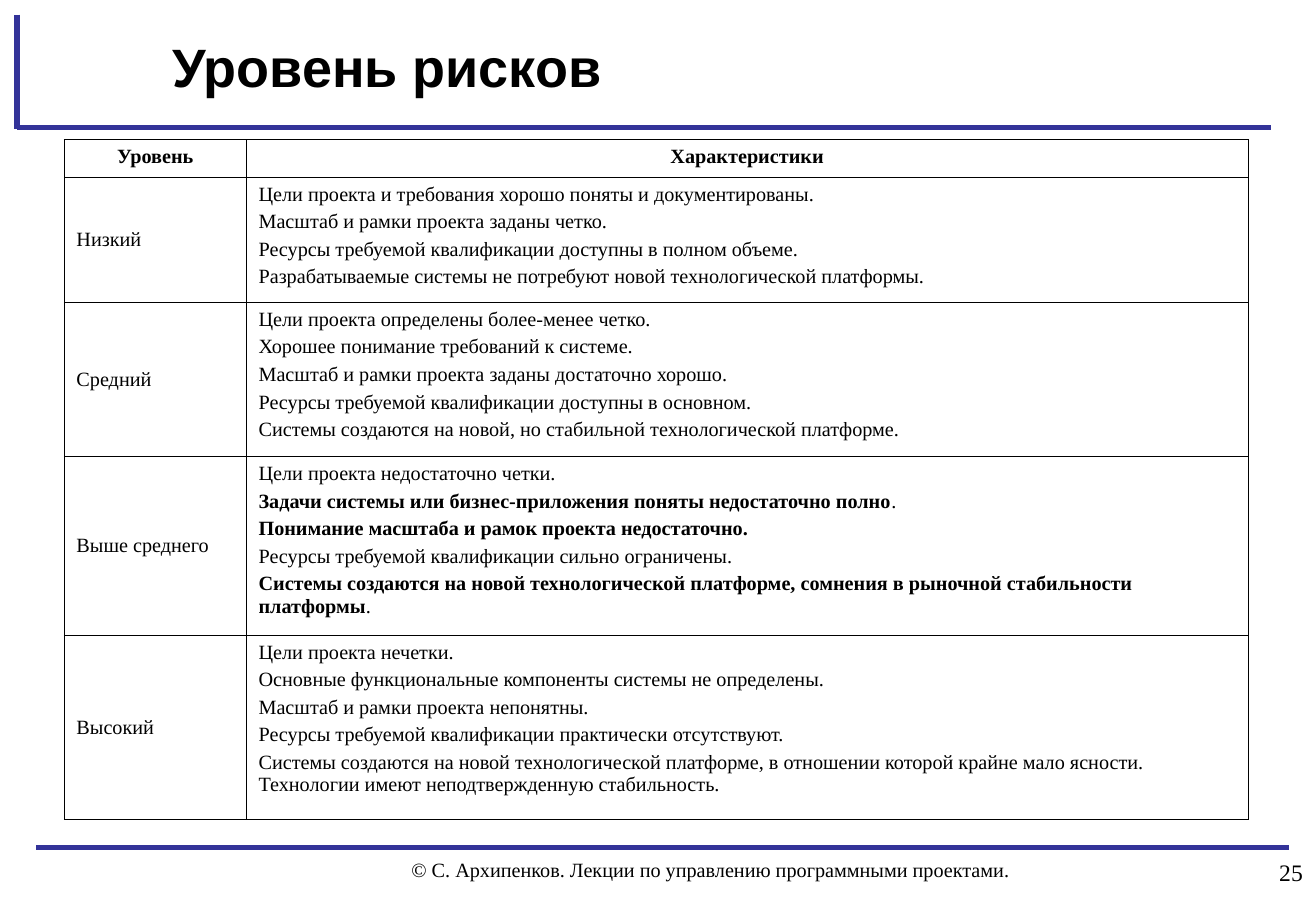
import pptx
import pptx.util
import pptx.dml.color
import pptx.enum.text
import pptx.oxml

Pt = pptx.util.Pt
ALIGN = pptx.enum.text.PP_ALIGN
ANCHOR = pptx.enum.text.MSO_ANCHOR
NAVY = pptx.dml.color.RGBColor(0x33, 0x33, 0x99)
BLACK = pptx.dml.color.RGBColor(0, 0, 0)
WHITE = pptx.dml.color.RGBColor(0xFF, 0xFF, 0xFF)
SERIF, SANS = "Times New Roman", "Arial"
WIDE, HIGH = pptx.util.Inches(10.84), pptx.util.Inches(7.5)
NS = 'xmlns:a="http://schemas.openxmlformats.org/drawingml/2006/main"'

# Table shares in percent of the slide
COLS = (13.84, 76.11)
ROWS = (4.13, 13.73, 16.93, 19.6, 20.27)

# Asterisks enclose bold text
HEAD = ("*Уровень*", "*Характеристики*")
LEVELS = (
    ("Низкий",
     "Цели проекта и требования хорошо поняты и документированы.\n"
     "Масштаб и рамки проекта заданы четко.\n"
     "Ресурсы требуемой квалификации доступны в полном объеме.\n"
     "Разрабатываемые системы не потребуют новой технологической платформы."),
    ("Средний",
     "Цели проекта определены более-менее четко.\n"
     "Хорошее понимание требований к системе.\n"
     "Масштаб и рамки проекта заданы достаточно хорошо.\n"
     "Ресурсы требуемой квалификации доступны в основном.\n"
     "Системы создаются на новой, но стабильной технологической платформе."),
    ("Выше среднего",
     "Цели проекта недостаточно четки.\n"
     "*Задачи системы или бизнес-приложения поняты недостаточно полно*.\n"
     "*Понимание масштаба и рамок проекта недостаточно.*\n"
     "Ресурсы требуемой квалификации сильно ограничены.\n"
     "*Системы создаются на новой технологической платформе, "
     "сомнения в рыночной стабильности платформы*."),
    ("Высокий",
     "Цели проекта нечетки.\n"
     "Основные функциональные компоненты системы не определены.\n"
     "Масштаб и рамки проекта непонятны.\n"
     "Ресурсы требуемой квалификации практически отсутствуют.\n"
     "Системы создаются на новой технологической платформе, "
     "в отношении которой крайне мало ясности. "
     "Технологии имеют неподтвержденную стабильность."),
)


def across(share):
    return round(WIDE * share / 100)


def down(share):
    return round(HIGH * share / 100)


def style(run, size, face, bold=False):
    font = run.font
    font.size, font.name, font.bold = Pt(size), face, bold
    font.color.rgb = BLACK


def add_rule(slide, x1, y1, x2, y2):
    rule = slide.shapes.add_connector(
        pptx.enum.shapes.MSO_CONNECTOR.STRAIGHT,
        across(x1), down(y1), across(x2), down(y2))
    rule.line.color.rgb = NAVY
    rule.line.width = Pt(3)
    rule._element.spPr.append(pptx.oxml.parse_xml(f"<a:effectLst {NS}/>"))


def add_label(slide, text, x, y, w, h, size, face=SERIF, bold=False,
              align=ALIGN.LEFT, anchor=ANCHOR.TOP):
    box = slide.shapes.add_textbox(across(x), down(y), across(w), down(h))
    frame = box.text_frame
    frame.word_wrap = True
    frame.vertical_anchor = anchor
    frame.text = text
    para = frame.paragraphs[0]
    para.alignment = align
    style(para.runs[0], size, face, bold)


def add_edges(cell):
    props = cell._tc.get_or_add_tcPr()
    for spot, side in enumerate("LRTB"):
        props.insert(spot, pptx.oxml.parse_xml(
            f'<a:ln{side} {NS} w="{Pt(0.45)}"><a:solidFill>'
            f'<a:srgbClr val="{BLACK}"/></a:solidFill></a:ln{side}>'))


def fill_cell(cell, text, align, anchor, gap):
    cell.fill.solid()
    cell.fill.fore_color.rgb = WHITE
    cell.vertical_anchor = anchor
    add_edges(cell)
    frame = cell.text_frame
    frame.text = text.replace("*", "")
    for para, line in zip(frame.paragraphs, text.split("\n")):
        para.alignment = align
        para.space_after = Pt(gap)
        para.text = ""
        for turn, part in enumerate(line.split("*")):
            if part:
                run = para.add_run()
                run.text = part
                style(run, 12, SERIF, turn % 2 == 1)


def add_levels(slide):
    table = slide.shapes.add_table(
        len(ROWS), len(COLS), across(4.89), down(15.33),
        across(sum(COLS)), down(sum(ROWS))).table
    table.first_row = table.horz_banding = False
    for col, share in zip(table.columns, COLS):
        col.width = across(share)
    for row, share in zip(table.rows, ROWS):
        row.height = down(share)
    for r, texts in enumerate((HEAD, *LEVELS)):
        for c, text in enumerate(texts):
            align = ALIGN.LEFT if r else ALIGN.CENTER
            anchor = ANCHOR.MIDDLE if r and c == 0 else ANCHOR.TOP
            fill_cell(table.cell(r, c), text, align, anchor,
                      3 if r and c else 0)


def main():
    deck = pptx.Presentation()
    deck.slide_width, deck.slide_height = WIDE, HIGH
    slide = deck.slides.add_slide(deck.slide_layouts[6])

    # Frame rules
    add_rule(slide, 2.77, 93.07, 97.97, 93.07)
    add_rule(slide, 1.29, 14, 96.59, 14)
    add_rule(slide, 1.29, 1.6, 1.29, 14.13)

    # Footer and page number
    add_label(slide, "© С. Архипенков. Лекции по управлению "
              "программными проектами.", 30.35, 93.47, 52.77, 6.53, 12)
    add_label(slide, "25", 87.73, 93.47, 12.18, 6.53, 14, align=ALIGN.RIGHT)

    # Title and table of risk levels
    add_label(slide, "Уровень рисков", 12.18, 1.6, 82.93, 11.2, 32,
              SANS, True, anchor=ANCHOR.MIDDLE)
    add_levels(slide)
    deck.save("out.pptx")


if __name__ == "__main__":
    main()
